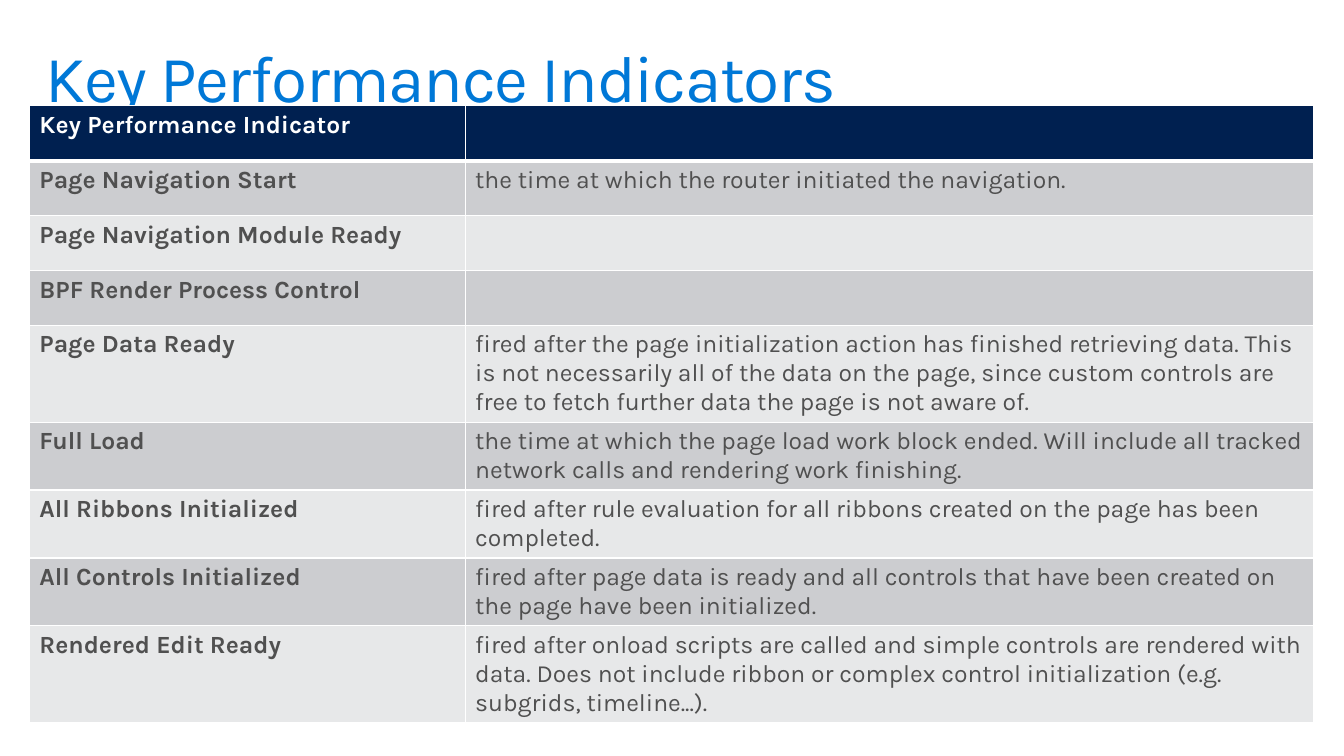
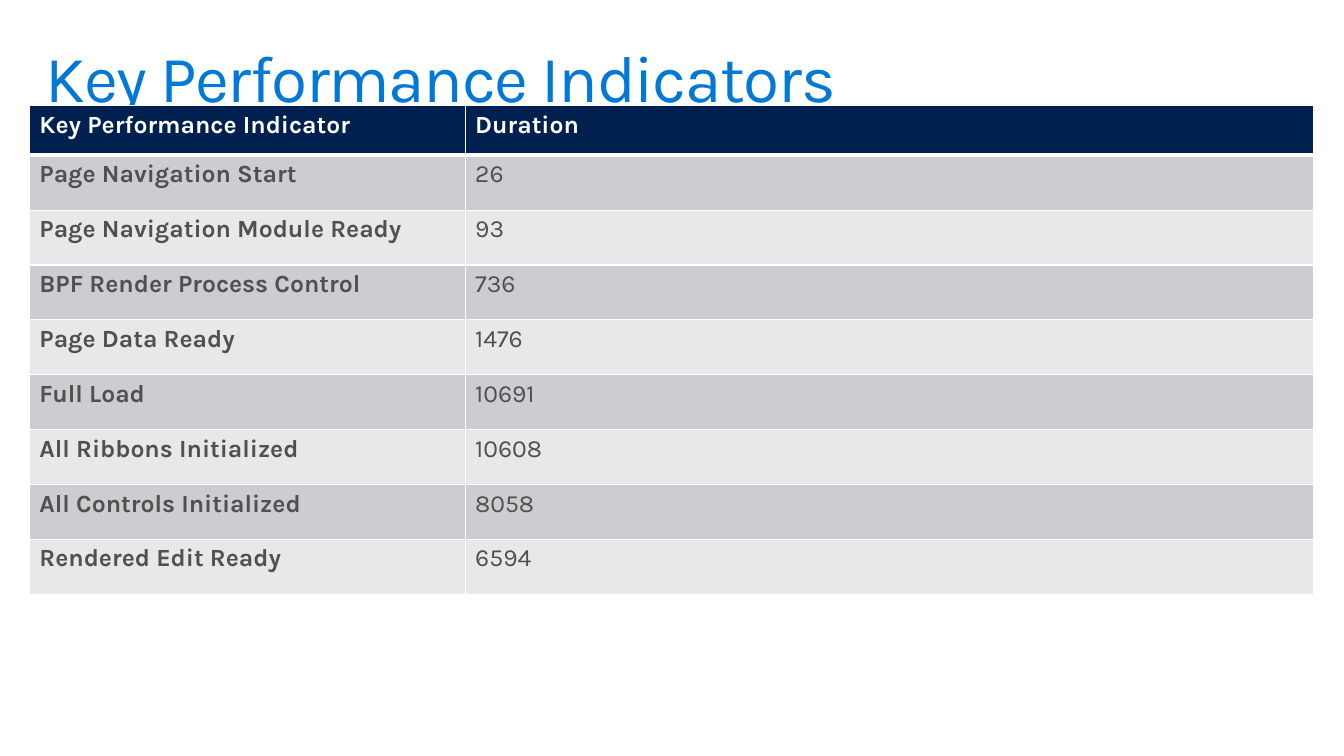
import pptx
import pptx.dml.color
import pptx.enum.text
import pptx.oxml
import pptx.oxml.ns
import pptx.util
from pptx.util import Cm, Pt

FONT = "Karla"
TITLE_BLUE = "0078D7"
NAVY = "002050"
WHITE = "FFFFFF"
TEXT_GREY = "505050"
BANDS = ["CCCDD0", "E7E8E9"]

TITLE = "Key Performance Indicators"
HEADING = "Key Performance Indicator"
INDICATORS = [
    "Page Navigation Start",
    "Page Navigation Module Ready",
    "BPF Render Process Control",
    "Page Data Ready",
    "Full Load",
    "All Ribbons Initialized",
    "All Controls Initialized",
    "Rendered Edit Ready",
]
MEANINGS = [
    "the time at which the router initiated the navigation.",
    "",
    "",
    "fired after the page initialization action has finished retrieving data. "
    "This is not necessarily all of the data on the page, since custom controls "
    "are free to fetch further data the page is not aware of.",
    "the time at which the page load work block ended. Will include all tracked "
    "network calls and rendering work finishing.",
    "fired after rule evaluation for all ribbons created on the page has been completed.",
    "fired after page data is ready and all controls that have been created on "
    "the page have been initialized.",
    "fired after onload scripts are called and simple controls are rendered with "
    "data. Does not include ribbon or complex control initialization (e.g. "
    "subgrids, timeline...).",
]
DURATIONS = ["26", "93", "736", "1476", "10691", "10608", "8058", "6594"]

# Second heading, second column, height of the heading row
SLIDES = [("", MEANINGS, Cm(1.41)), ("Duration", DURATIONS, Cm(1.27))]
COLUMN_WIDTHS = [Cm(11.2), Cm(21.79)]
ROW_HEIGHT = Cm(1.41)


def add_run(paragraph, text, size, colour, bold=False):
    run = paragraph.add_run()
    run.text = text
    run.font.name = FONT
    run.font.size = Pt(size)
    run.font.bold = bold
    run.font.color.rgb = pptx.dml.color.RGBColor.from_string(colour)
    return run


def style_cell(cell, fill, top, bottom):
    """Fill a cell and give it white borders; top and bottom are widths in points."""
    properties = cell._tc.get_or_add_tcPr()
    for side, width in [("L", 1), ("R", 1), ("T", top), ("B", bottom)]:
        properties.append(pptx.oxml.parse_xml(
            f'<a:ln{side} {pptx.oxml.ns.nsdecls("a")} w="{Pt(width)}">'
            f'<a:solidFill><a:srgbClr val="{WHITE}"/></a:solidFill></a:ln{side}>'))
    cell.fill.solid()
    cell.fill.fore_color.rgb = pptx.dml.color.RGBColor.from_string(fill)


deck = pptx.Presentation()
deck.slide_width, deck.slide_height = Cm(34.54), Cm(19.43)

for second_heading, details, heading_height in SLIDES:
    slide = deck.slides.add_slide(deck.slide_layouts[5])

    title = slide.shapes.title
    title.left, title.top, title.width, title.height = Cm(0.76), Cm(0.81), Cm(33.02), Cm(2.54)
    frame = title.text_frame
    frame.auto_size = pptx.enum.text.MSO_AUTO_SIZE.NONE
    frame.vertical_anchor = pptx.enum.text.MSO_ANCHOR.MIDDLE
    frame.margin_left = frame.margin_right = Cm(0.41)
    frame.margin_top = frame.margin_bottom = Cm(0.25)
    heading = frame.paragraphs[0]
    heading.alignment = pptx.enum.text.PP_ALIGN.LEFT
    heading.line_spacing = 0.9
    title_run = add_run(heading, TITLE, 48, TITLE_BLUE)
    title_run.font._element.set("spc", "-100")

    rows = [(HEADING, second_heading), *zip(INDICATORS, details)]
    table = slide.shapes.add_table(
        len(rows), len(COLUMN_WIDTHS), Cm(0.76), Cm(2.72),
        sum(COLUMN_WIDTHS), heading_height + ROW_HEIGHT * len(INDICATORS)).table
    for column, width in zip(table.columns, COLUMN_WIDTHS):
        column.width = width

    for r, texts in enumerate(rows):
        is_heading = r == 0
        table.rows[r].height = heading_height if is_heading else ROW_HEIGHT
        for c, text in enumerate(texts):
            cell = table.cell(r, c)
            style_cell(cell, NAVY if is_heading else BANDS[(r - 1) % 2],
                       top=3 if r == 1 else 1, bottom=3 if is_heading else 1)
            if text:
                add_run(cell.text_frame.paragraphs[0], text, 18,
                        WHITE if is_heading else TEXT_GREY, bold=is_heading or c == 0)

deck.save("out.pptx")
